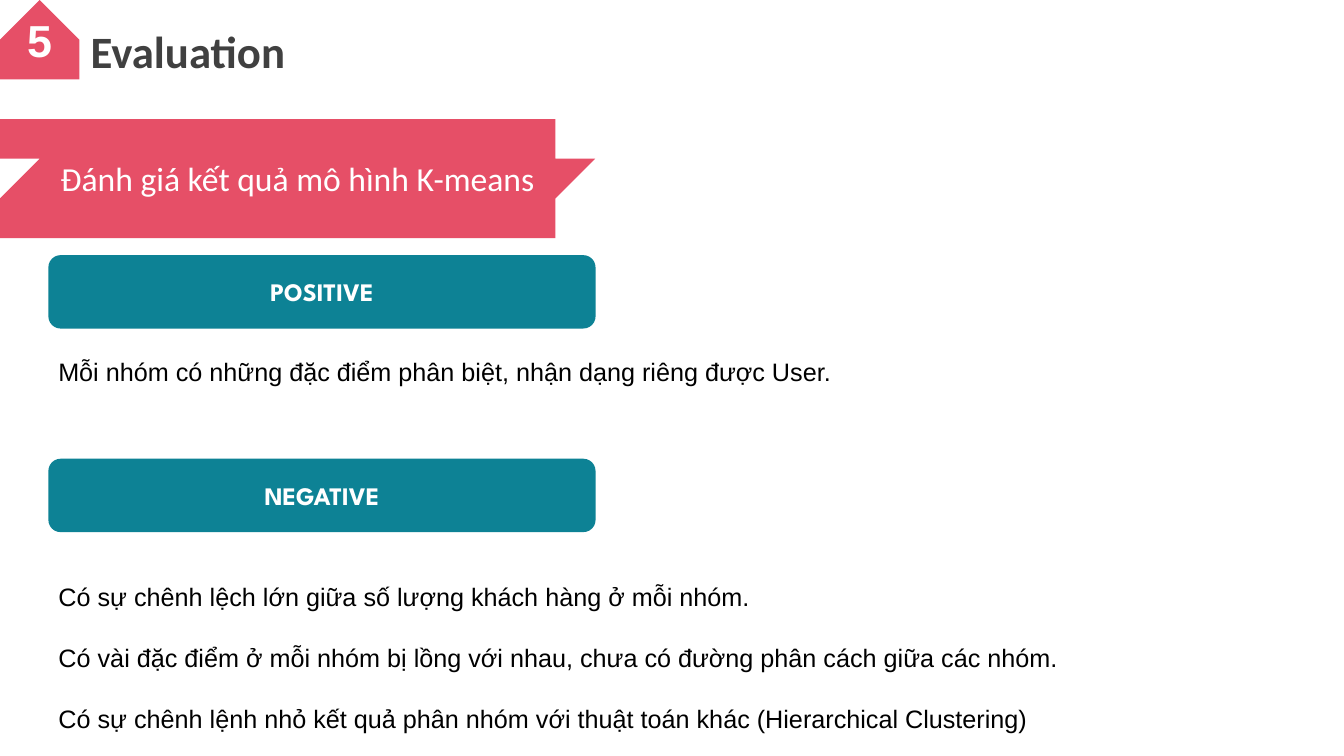
from pptx import Presentation
from pptx.dml.color import RGBColor
from pptx.enum.shapes import MSO_SHAPE
from pptx.enum.text import MSO_ANCHOR, MSO_AUTO_SIZE, PP_ALIGN
from pptx.util import Cm, Pt
from lxml import etree

PINK = RGBColor(0xE6, 0x4F, 0x67)
TEAL = RGBColor(0x0D, 0x82, 0x95)
WHITE = RGBColor(0xFF, 0xFF, 0xFF)
BLACK = RGBColor(0, 0, 0)
GREY = RGBColor(0x40, 0x40, 0x40)
LEFT = Cm(1.22)


def style(para, name, size, color, bold=False, align=PP_ALIGN.LEFT):
    para.alignment = align
    font = para.font
    font.name, font.size, font.bold = name, Pt(size), bold
    font.color.rgb = color


def label(shape, text, fill, name, size, bold):
    shape.shadow.inherit = False
    shape.fill.solid()
    shape.fill.fore_color.rgb = fill
    shape.line.fill.background()
    frame = shape.text_frame
    frame.word_wrap = True
    frame.vertical_anchor = MSO_ANCHOR.MIDDLE
    frame.text = text
    style(frame.paragraphs[0], name, size, WHITE, bold, PP_ALIGN.CENTER)


prs = Presentation()
prs.slide_width, prs.slide_height = Cm(33.87), Cm(19.05)
slide = prs.slides.add_slide(prs.slide_layouts[1])
shapes = slide.shapes

# Title
title = shapes.title
title.left, title.top, title.width, title.height = Cm(2.03), Cm(0.46), Cm(14.48), Cm(1.63)
title.text_frame.text = "Evaluation"
title.text_frame.auto_size = MSO_AUTO_SIZE.NONE
style(title.text_frame.paragraphs[0], "Calibri", 32, GREY, True)

# Number hexagon and heading banner, outlines in centimetres
hexagon = [(0.2, 0.74), (0.2, 1.8), (1.12, 2.31), (2.03, 1.8), (2.03, 0.74), (1.12, 0.2)]
banner = [(14.62, 4.32), (14, 5), (14, 5.61), (0.2, 5.61), (0.2, 5.16), (1.02, 4.32),
          (0.2, 3.51), (0.2, 3.05), (14, 3.05), (14, 3.68)]
for points, text, name, size, bold in [
    (hexagon, "5", "Arial", 32, True),
    (banner, "Đánh giá kết quả mô hình K-means", "Calibri", 24, False),
]:
    pen = shapes.build_freeform(*points[0], scale=Cm(1))
    pen.add_line_segments(points[1:], close=True)
    label(pen.convert_to_shape(), text, PINK, name, size, bold)

# Section bars
for text, top in [("POSITIVE", 6.43), ("NEGATIVE", 11.56)]:
    bar = shapes.add_shape(MSO_SHAPE.ROUNDED_RECTANGLE, LEFT, Cm(top), Cm(13.79), Cm(1.85))
    label(bar, text, TEAL, "League Spartan", 18, True)

# Positive point
point = shapes.add_textbox(LEFT, Cm(8.86), Cm(20.6), Cm(1.8)).text_frame
point.word_wrap = True
point.text = "Mỗi nhóm có những đặc điểm phân biệt, nhận dạng riêng được User."
style(point.paragraphs[0], "Arial", 18, BLACK)

# Negative points
body = slide.placeholders[1]
body.left, body.top, body.width, body.height = LEFT, Cm(14.53), Cm(27), Cm(4.3)
frame = body.text_frame
frame.auto_size = MSO_AUTO_SIZE.NONE
frame.text = "\n".join([
    "Có sự chênh lệch lớn giữa số lượng khách hàng ở mỗi nhóm.",
    "Có vài đặc điểm ở mỗi nhóm bị lồng với nhau, chưa có đường phân cách giữa các nhóm.",
    "Có sự chênh lệnh nhỏ kết quả phân nhóm với thuật toán khác (Hierarchical Clustering)",
])
for i, para in enumerate(frame.paragraphs):
    props = para._p.get_or_add_pPr()
    props.set("marL", "0")
    props.set("indent", "0")
    etree.SubElement(props, "{http://schemas.openxmlformats.org/drawingml/2006/main}buNone")
    para.space_before = Pt(22 if i else 0)
    style(para, "Arial", 18, BLACK)

prs.save("out.pptx")
